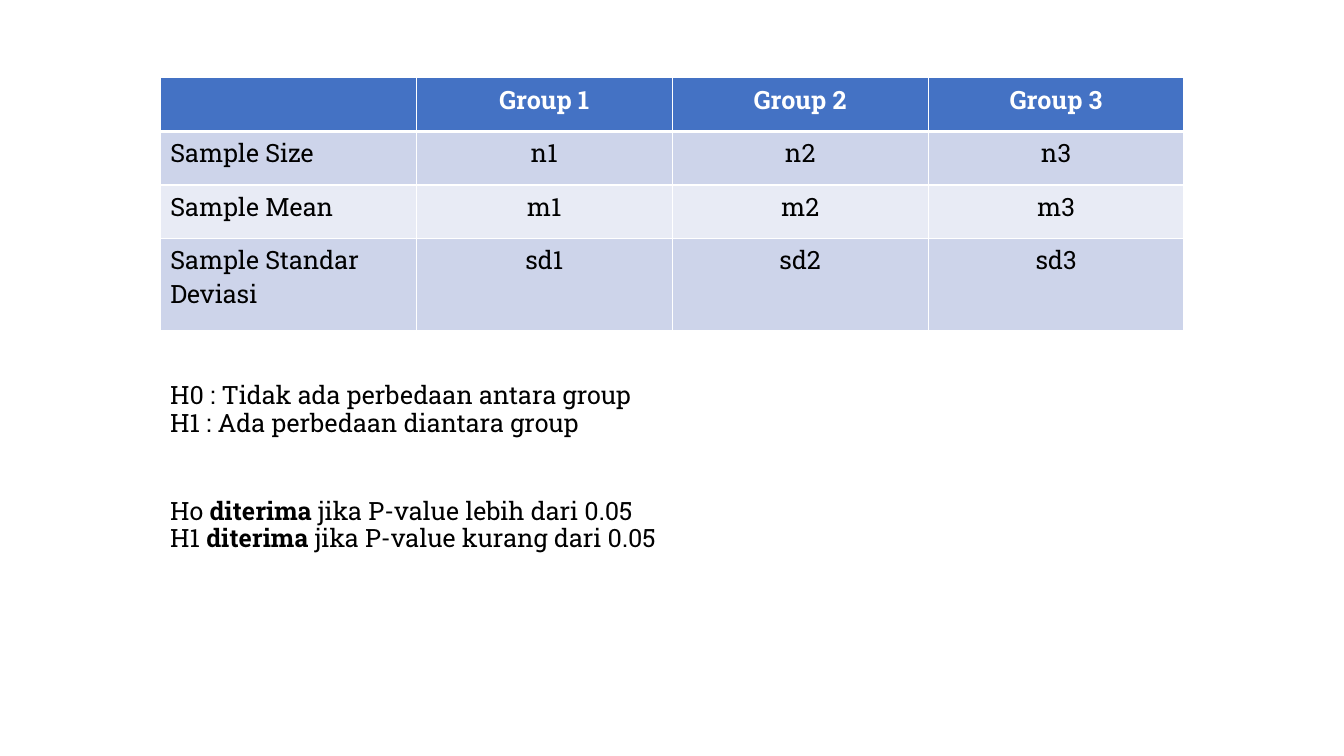
from lxml import etree
from pptx import Presentation
from pptx.dml.color import RGBColor
from pptx.enum.text import PP_ALIGN
from pptx.oxml.ns import qn
from pptx.util import Cm, Pt

LEFT, CENTER = PP_ALIGN.LEFT, PP_ALIGN.CENTER

# Content
GROUPS = [
    ("", "Group 1", "Group 2", "Group 3"),
    ("Sample Size", "n1", "n2", "n3"),
    ("Sample Mean", "m1", "m2", "m3"),
    ("Sample Standar Deviasi", "sd1", "sd2", "sd3"),
]
# Each line: space before in points, then (text, bold) pieces
HYPOTHESES = [
    (0, [("H0 : Tidak ada perbedaan antara group", False)]),
    (0, [("H1 : Ada perbedaan diantara group", False)]),
    (43.5, [("Ho ", False), ("diterima ", True),
            ("jika P-value lebih dari 0.05", False)]),
    (0, [("H1 ", False), ("diterima ", True),
         ("jika P-value kurang dari 0.05", False)]),
]

# Layout and format
SLIDE_W, SLIDE_H = 33.87, 19.05
MARGIN = 4.04
TABLE_TOP, COLUMN_W = 1.96, 6.45
ROW_HEIGHTS = [1.35, 1.35, 1.35, 2.31]
HYPOTHESES_TOP, HYPOTHESES_W, HYPOTHESES_H = 9.53, 26.34, 4.88
HEADER_FILL, BAND_FILLS = "4472C4", ("E8EBF5", "CDD4EA")
WHITE, BLACK = "FFFFFF", "000000"
FONT = {"name": "Roboto Slab", "size": Pt(18)}


def color(hex_code):
    return RGBColor.from_string(hex_code)


def add_run(paragraph, text, bold, ink):
    run = paragraph.add_run()
    run.text = text
    for key, value in {**FONT, "bold": bold}.items():
        setattr(run.font, key, value)
    run.font.color.rgb = color(ink)


def add_borders(cell, widths):
    properties = cell._tc.get_or_add_tcPr()
    for side, width in widths.items():
        line = etree.SubElement(properties, qn("a:ln" + side), w=str(Pt(width)))
        fill = etree.SubElement(line, qn("a:solidFill"))
        etree.SubElement(fill, qn("a:srgbClr"), val=WHITE)


prs = Presentation()
prs.slide_width, prs.slide_height = Cm(SLIDE_W), Cm(SLIDE_H)
slide = prs.slides.add_slide(prs.slide_layouts[6])

# Group table
columns = len(GROUPS[0])
table = slide.shapes.add_table(
    len(GROUPS), columns, Cm(MARGIN), Cm(TABLE_TOP),
    Cm(COLUMN_W * columns), Cm(sum(ROW_HEIGHTS))).table
for column in table.columns:
    column.width = Cm(COLUMN_W)
for r, (labels, height) in enumerate(zip(GROUPS, ROW_HEIGHTS)):
    table.rows[r].height = Cm(height)
    header = r == 0
    for c, label in enumerate(labels):
        cell = table.cell(r, c)
        add_borders(cell, {"L": 1, "R": 1, "T": 3 if r == 1 else 1,
                           "B": 3 if header else 1})
        cell.fill.solid()
        cell.fill.fore_color.rgb = color(HEADER_FILL if header else BAND_FILLS[r % 2])
        paragraph = cell.text_frame.paragraphs[0]
        paragraph.alignment = CENTER if c else LEFT
        if label:
            add_run(paragraph, label, header, WHITE if header else BLACK)

# Hypotheses and decision rule
hypotheses = slide.shapes.add_textbox(
    Cm(MARGIN), Cm(HYPOTHESES_TOP), Cm(HYPOTHESES_W), Cm(HYPOTHESES_H)).text_frame
hypotheses.word_wrap = True
for i, (gap, pieces) in enumerate(HYPOTHESES):
    paragraph = hypotheses.add_paragraph() if i else hypotheses.paragraphs[0]
    spacing = {"line_spacing": 0.9, "space_before": Pt(gap), "alignment": LEFT}
    for key, value in spacing.items():
        setattr(paragraph, key, value)
    for text, bold in pieces:
        add_run(paragraph, text, bold, BLACK)

prs.save("out.pptx")
